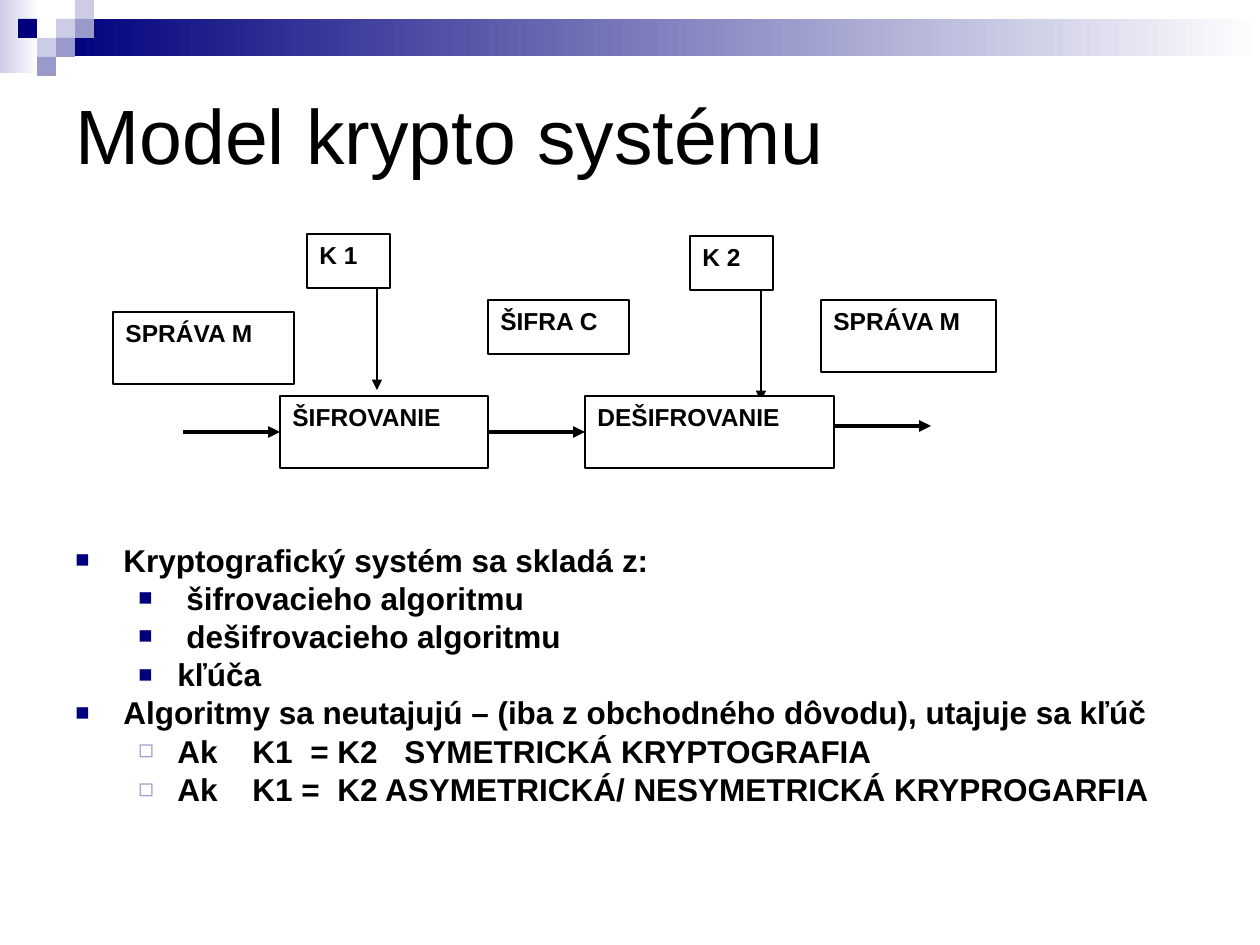
from lxml import etree
from pptx import Presentation, util as u
from pptx.dml.color import RGBColor
from pptx.enum import shapes, text
from pptx.oxml.ns import qn

PX_PER_INCH = 126
NAVY, VIOLET, LILAC = "00007D", "9999CC", "CCCCE6"
BLACK, WHITE = "000000", "FFFFFF"
TILE = 19


def px(value):
    return u.Emu(round(value * 914400 / PX_PER_INCH))


def color(value):
    return RGBColor.from_string(value)


def add_rectangle(slide, left, top, width, height, fill, line=None):
    """Fill is one colour, or a pair for a left-to-right gradient."""
    shape = slide.shapes.add_shape(shapes.MSO_SHAPE.RECTANGLE,
                                   px(left), px(top), px(width), px(height))
    shape.shadow.inherit = False
    if isinstance(fill, tuple):
        shape.fill.gradient()
        shape.fill.gradient_angle = 0
        for position, (stop, value) in enumerate(zip(shape.fill.gradient_stops, fill)):
            stop.color.rgb = color(value)
            stop.position = position
    else:
        shape.fill.solid()
        shape.fill.fore_color.rgb = color(fill)
    if line:
        shape.line.color.rgb = color(line)
        shape.line.width = u.Pt(0.75)
    else:
        shape.line.fill.background()
    return shape


def set_font(paragraph, size, bold=False):
    font = paragraph.font
    font.name, font.size, font.bold = "Arial", u.Pt(size), bold
    font.color.rgb = color(BLACK)


def add_box(slide, label, left, top, width, height):
    shape = add_rectangle(slide, left, top, width, height, WHITE, line=BLACK)
    frame = shape.text_frame
    frame.vertical_anchor = text.MSO_ANCHOR.TOP
    paragraph = frame.paragraphs[0]
    paragraph.text = label
    paragraph.alignment = text.PP_ALIGN.LEFT
    set_font(paragraph, 14, bold=True)


def add_arrow(slide, x1, y1, x2, y2, width):
    arrow = slide.shapes.add_connector(shapes.MSO_CONNECTOR.STRAIGHT,
                                       px(x1), px(y1), px(x2), px(y2))
    arrow.line.color.rgb = color(BLACK)
    arrow.line.width = u.Pt(width)
    etree.SubElement(arrow.line._get_or_add_ln(), qn("a:tailEnd"), type="triangle")
    etree.SubElement(arrow._element.spPr, qn("a:effectLst"))


def add_text_frame(slide, left, top, width, height):
    frame = slide.shapes.add_textbox(px(left), px(top), px(width), px(height)).text_frame
    frame.word_wrap = True
    return frame


def add_bullet(paragraph, char, value, percent, indent, hanging, stops):
    properties = paragraph._p.get_or_add_pPr()
    properties.set("marL", str(px(indent)))
    properties.set("indent", str(-px(hanging)))
    bullet_color = etree.SubElement(properties, qn("a:buClr"))
    etree.SubElement(bullet_color, qn("a:srgbClr"), val=value)
    etree.SubElement(properties, qn("a:buSzPct"), val=str(percent * 1000))
    etree.SubElement(properties, qn("a:buFont"), typeface="Arial")
    etree.SubElement(properties, qn("a:buChar"), char=char)
    if stops:
        tabs = etree.SubElement(properties, qn("a:tabLst"))
        for stop in stops:
            etree.SubElement(tabs, qn("a:tab"), pos=str(px(stop)), algn="l")


def add_header(slide):
    add_rectangle(slide, 0, 0, 39, 73, (LILAC, WHITE))
    add_rectangle(slide, 57, 19, 1203, 37, (NAVY, WHITE))
    tiles = [(3, 1, LILAC), (4, 0, LILAC), (4, 1, VIOLET), (2, 2, LILAC),
             (1, 1, NAVY), (3, 2, VIOLET), (2, 3, VIOLET)]
    for column, row, fill in tiles:
        add_rectangle(slide, column * TILE - 1, row * TILE, TILE, TILE, fill)


def add_title(slide, title):
    frame = add_text_frame(slide, 63, 63, 1134, 141)
    frame.vertical_anchor = text.MSO_ANCHOR.MIDDLE
    frame.paragraphs[0].text = title
    set_font(frame.paragraphs[0], 44)


def add_diagram(slide):
    for x, y in [(377, 246), (761, 257)]:
        add_arrow(slide, x, y, x, y + 144, 0.75)
    for label, *place in [
        ("SPRÁVA M", 113, 312, 181, 72),
        ("ŠIFROVANIE", 280, 396, 208, 72),
        ("DEŠIFROVANIE", 585, 396, 249, 72),
        ("ŠIFRA C", 488, 300, 141, 54),
        ("SPRÁVA M", 821, 300, 175, 72),
        ("K 1", 307, 234, 83, 54),
        ("K 2", 690, 236, 83, 54),
    ]:
        add_box(slide, label, *place)
    for x, y in [(183, 432), (488, 432), (834, 426)]:
        add_arrow(slide, x, y, x + 97, y, 2.25)


def add_bullets(slide):
    main = ("■", NAVY, 75, 48, 48)
    part = ("■", NAVY, 75, 111, 48)
    key = ("■", NAVY, 75, 102, 39)
    case = ("◻", VIOLET, 80, 102, 39)
    items = [
        ("Kryptografický systém sa skladá z:", main, ()),
        ("šifrovacieho algoritmu", part, ()),
        ("dešifrovacieho algoritmu", part, ()),
        ("kľúča", key, ()),
        ("Algoritmy sa neutajujú – (iba z\u00a0obchodného dôvodu), utajuje sa kľúč", main, ()),
        ("Ak\tK1\t= K2\tSYMETRICKÁ KRYPTOGRAFIA", case, (177, 235, 329)),
        ("Ak\tK1 =\tK2 ASYMETRICKÁ/ NESYMETRICKÁ KRYPROGARFIA", case, (177, 262)),
    ]
    frame = add_text_frame(slide, 63, 542, 1197, 307)
    for index, (content, style, stops) in enumerate(items):
        paragraph = frame.add_paragraph() if index else frame.paragraphs[0]
        paragraph.text = content
        paragraph.level = 0 if style is main else 1
        add_bullet(paragraph, *style, stops)
        paragraph.line_spacing = 0.8
        paragraph.space_before = u.Pt(4.5 if index else 0)
        set_font(paragraph, 18, bold=True)


def main():
    presentation = Presentation()
    presentation.slide_width, presentation.slide_height = px(1260), px(945)
    slide = presentation.slides.add_slide(presentation.slide_layouts[6])
    add_header(slide)
    add_title(slide, "Model krypto systému")
    add_diagram(slide)
    add_bullets(slide)
    presentation.save("out.pptx")


if __name__ == "__main__":
    main()
